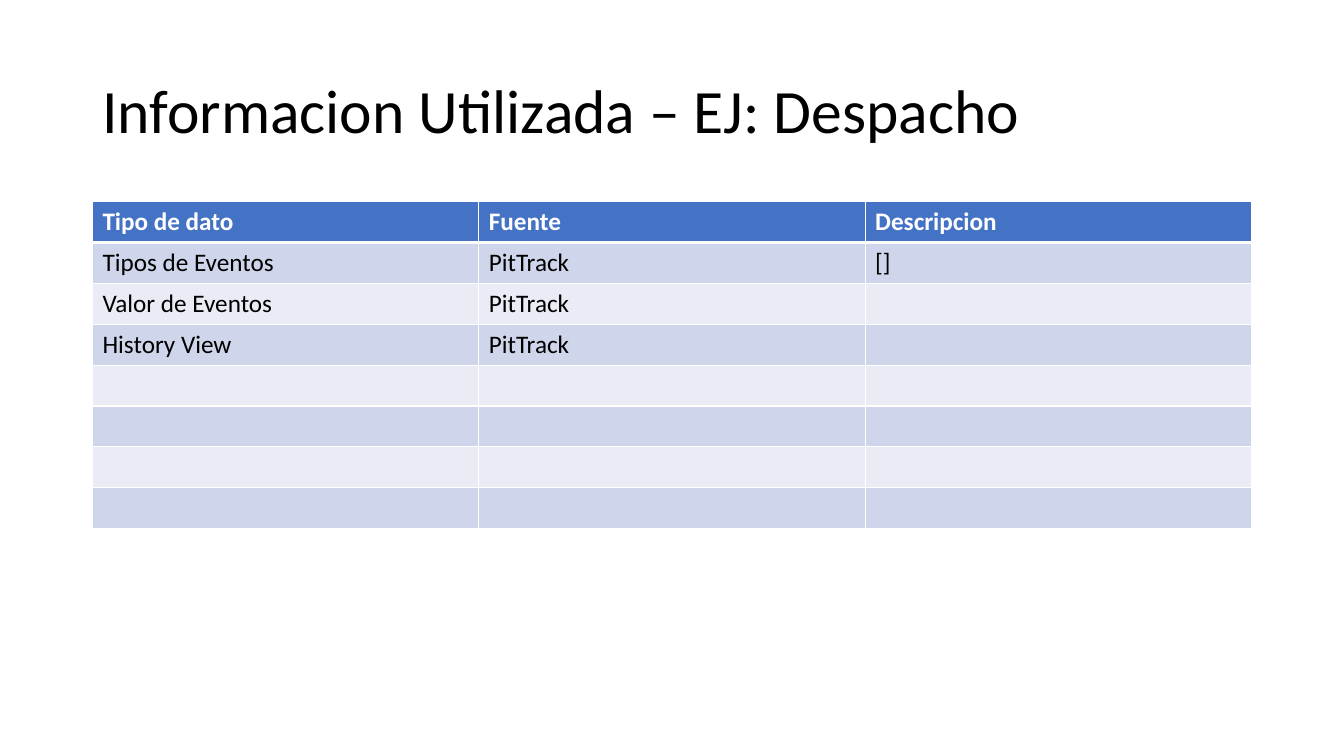
"""Build a slide with a title and a table of data sources."""
from lxml import etree
from pptx import Presentation
from pptx import util as u
from pptx.dml.color import RGBColor
from pptx.enum import text
from pptx.oxml.ns import qn


def color(value):
    return RGBColor.from_string(value)


def write(frame, content, font="Calibri", size=18, fill="000000", bold=False, spacing=1.0):
    paragraph = frame.paragraphs[0]
    paragraph.line_spacing = spacing
    run = paragraph.add_run()
    run.text = content
    run.font.name = font
    run.font.size = u.Pt(size)
    run.font.bold = bold
    run.font.color.rgb = color(fill)


class SlideBuilder:
    header_fill = "4472C4"
    band_fills = ("E9EBF5", "CFD5EA")
    white = "FFFFFF"

    def __init__(self, slide):
        self.slide = slide

    def title(self, content, left, top, width, height):
        box = self.slide.shapes.add_textbox(u.Cm(left), u.Cm(top), u.Cm(width), u.Cm(height))
        frame = box.text_frame
        frame.word_wrap = True
        frame.vertical_anchor = text.MSO_ANCHOR.MIDDLE
        write(frame, content, size=44, spacing=0.9)

    def border(self, cell, side, width):
        properties = cell._tc.get_or_add_tcPr()
        line = etree.SubElement(properties, qn(f"a:ln{side}"), w=str(u.Pt(width)))
        fill = etree.SubElement(line, qn("a:solidFill"))
        etree.SubElement(fill, qn("a:srgbClr"), val=self.white)

    def table(self, rows, row_count, left, top, width, row_height):
        column_count = len(rows[0])
        table = self.slide.shapes.add_table(
            row_count, column_count, u.Cm(left), u.Cm(top),
            u.Cm(width), u.Cm(row_height * row_count)).table
        table.horz_banding = False
        for row_index, row in enumerate(table.rows):
            row.height = u.Cm(row_height)
            header = row_index == 0
            contents = rows[row_index] if row_index < len(rows) else ()
            widths = {"L": 1, "R": 1, "T": 3 if row_index == 1 else 1, "B": 3 if header else 1}
            for column_index, cell in enumerate(row.cells):
                for side, line_width in widths.items():
                    self.border(cell, side, line_width)
                cell.fill.solid()
                cell.fill.fore_color.rgb = color(
                    self.header_fill if header else self.band_fills[row_index % 2])
                if column_index < len(contents):
                    write(cell.text_frame, contents[column_index], bold=header,
                          fill=self.white if header else "000000")


presentation = Presentation()
presentation.slide_width = u.Cm(33.87)
presentation.slide_height = u.Cm(19.05)
builder = SlideBuilder(presentation.slides.add_slide(presentation.slide_layouts[6]))

builder.title("Informacion Utilizada – EJ: Despacho", 2.33, 1.01, 29.21, 3.68)
source = "PitTrack"
builder.table([
    ("Tipo de dato", "Fuente", "Descripcion"),
    ("Tipos de Eventos", source, "[]"),
    ("Valor de Eventos", source),
    ("History View", source),
], row_count=8, left=2.33, top=5.08, width=29.21, row_height=1.03)

presentation.save("out.pptx")
